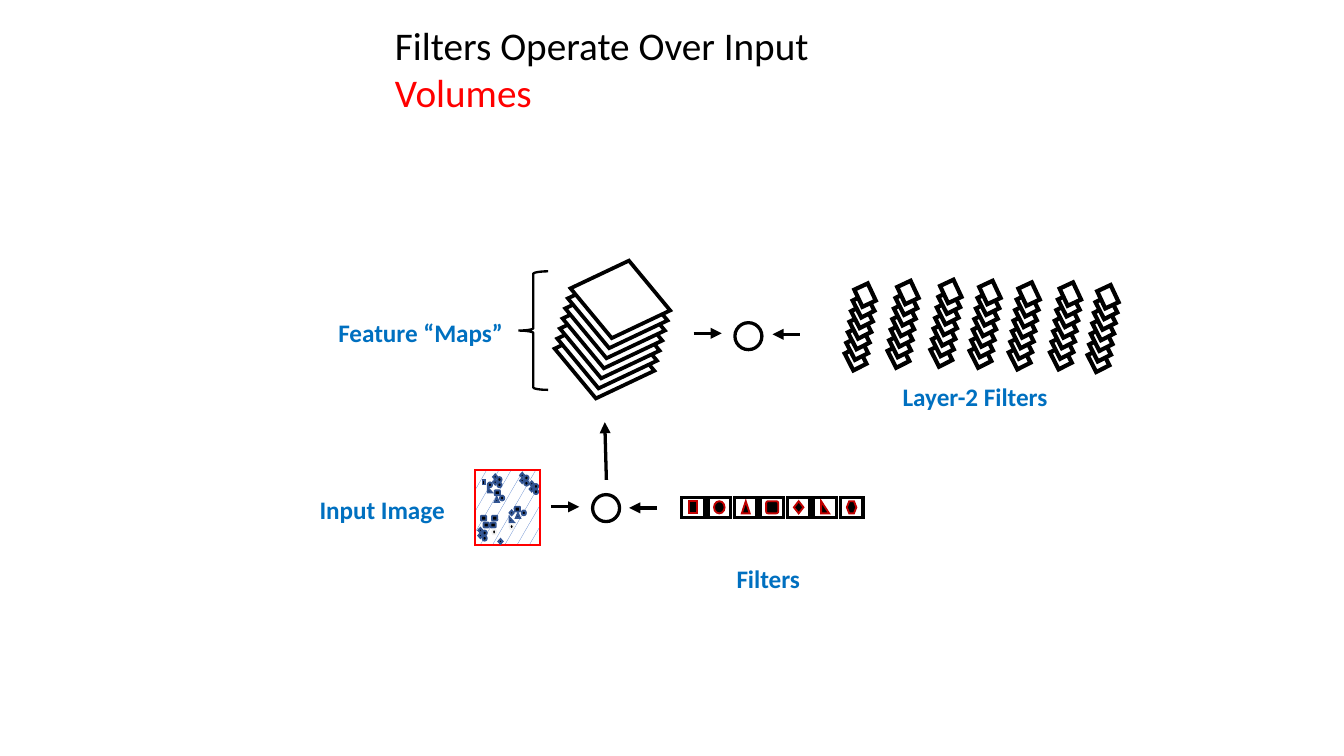
from dataclasses import dataclass

from lxml.etree import SubElement
from pptx import Presentation
from pptx.dml.color import RGBColor
from pptx.enum.dml import MSO_PATTERN
from pptx.enum.shapes import MSO_CONNECTOR, MSO_SHAPE as Kind
from pptx.enum.text import MSO_ANCHOR, MSO_AUTO_SIZE, PP_ALIGN
from pptx.oxml.ns import qn
from pptx.util import Cm, Pt


@dataclass(frozen=True)
class Theme:
    font: str = "Calibri"
    title: float = 21
    label: float = 13.5
    black: str = "000000"
    white: str = "FFFFFF"
    red: str = "FF0000"
    dark_red: str = "C00000"
    blue: str = "0070C0"
    navy: str = "325491"
    dots: str = "4472C4"
    pale: str = "F2F2F2"


theme = Theme()


def write(para, text, size=theme.label, color=theme.blue, bold=False):
    """Add one formatted run to a paragraph."""
    run = para.add_run()
    run.text = text
    run.font.name = theme.font
    run.font.size = Pt(size)
    run.font.bold = bold
    run.font.color.rgb = RGBColor.from_string(color)


def draw(home, kind, box, fill=None, line=theme.black, width=1, turn=0):
    """Add a preset shape; box is left, top, width, height in cm."""
    shape = home.shapes.add_shape(kind, *[Cm(v) for v in box])
    shape.shadow.inherit = False
    shape.rotation = turn
    if fill:
        shape.fill.solid()
        shape.fill.fore_color.rgb = RGBColor.from_string(fill)
    else:
        shape.fill.background()
    shape.line.color.rgb = RGBColor.from_string(line)
    shape.line.width = Pt(width)
    SubElement(shape.element.spPr.find(qn("a:ln")), qn("a:miter"), lim="800000")
    return shape


deck = Presentation()
deck.slide_width, deck.slide_height = Cm(25.4), Cm(14.29)
slide = deck.slides.add_slide(deck.slide_layouts[5])

# Title
title = slide.shapes.title
title.left, title.top, title.width, title.height = Cm(7.21), Cm(0.28), Cm(10.97), Cm(2.06)
frame = title.text_frame
frame.word_wrap = True
frame.auto_size = MSO_AUTO_SIZE.NONE
frame.vertical_anchor = MSO_ANCHOR.TOP
para = frame.paragraphs[0]
para.alignment = PP_ALIGN.LEFT
write(para, "Filters Operate Over Input ", size=theme.title, color=theme.black)
write(para, "Volumes", size=theme.title, color=theme.red)

# Input image: a dotted field with clusters of small marks
image = slide.shapes.add_group_shape()
field = draw(image, Kind.RECTANGLE, (8.97, 8.89, 1.24, 1.42), line=theme.red)
field.fill.patterned()
field.fill.pattern = MSO_PATTERN.SMALL_CONFETTI
field.fill.fore_color.rgb = RGBColor.from_string(theme.dots)
field.fill.back_color.rgb = RGBColor.from_string(theme.white)

marks = [
    (Kind.RECTANGLE, 9.12, 9.07), (Kind.OVAL, 9.22, 9.12),
    (Kind.RIGHT_TRIANGLE, 9.22, 9.22), (Kind.ROUNDED_RECTANGLE, 9.35, 9.27),
    (Kind.ISOSCELES_TRIANGLE, 9.35, 9.4), (Kind.OVAL, 9.45, 9.37),
    (Kind.ROUNDED_RECTANGLE, 9.73, 9.58), (Kind.ISOSCELES_TRIANGLE, 9.75, 9.7),
    (Kind.OVAL, 9.86, 9.65), (Kind.DIAMOND, 9.63, 9.65),
    (Kind.RIGHT_TRIANGLE, 9.63, 9.78), (Kind.HEXAGON, 9.63, 9.91),
    (Kind.ROUNDED_RECTANGLE, 9.09, 9.75), (Kind.ROUNDED_RECTANGLE, 9.14, 9.88),
    (Kind.ROUNDED_RECTANGLE, 9.27, 9.88), (Kind.ROUNDED_RECTANGLE, 9.3, 9.75),
    (Kind.HEXAGON, 9.3, 10.01), (Kind.DIAMOND, 9.42, 10.19),
]
for x, y in [(9.32, 8.97), (9.83, 8.94), (10.01, 9.1), (9.04, 9.98)]:
    for step in (0, 0.1):
        marks.append((Kind.DIAMOND, x, y + step))
        marks.append((Kind.OVAL, x + 0.08, y + 0.05 + step))
widths = {Kind.RECTANGLE: 0.05, Kind.ROUNDED_RECTANGLE: 0.1}
for kind, x, y in marks:
    edge = theme.pale if kind == Kind.HEXAGON else theme.navy
    draw(image, kind, (x, y, widths.get(kind, 0.08), 0.09), theme.black, edge)

# Stack of feature maps, the lowest one open
maps = slide.shapes.add_group_shape()
for i in range(7):
    draw(maps, Kind.DIAMOND, (10.46 + 0.05 * i, 6.05 - 0.19 * i, 1.93, 1.5),
         theme.white if i else None, width=2, turn=12.5)
draw(slide, Kind.LEFT_BRACE, (9.8, 5.13, 0.56, 2.24), width=1.25)

# Row of first-layer filters, each icon centred in its cell
row = slide.shapes.add_group_shape()
icons = [
    (Kind.RECTANGLE, 0.15), (Kind.OVAL, 0.2), (Kind.ISOSCELES_TRIANGLE, 0.15),
    (Kind.ROUNDED_RECTANGLE, 0.23), (Kind.DIAMOND, 0.18),
    (Kind.RIGHT_TRIANGLE, 0.15), (Kind.HEXAGON, 0.18),
]
cell, tall, high = 0.43, 0.38, 0.23
for i, (kind, wide) in enumerate(icons):
    x, y = 12.88 + 0.5 * i, 9.4
    draw(row, kind, (x + (cell - wide) / 2, y + (tall - high) / 2, wide, high),
         theme.black, theme.dark_red)
    draw(row, Kind.RECTANGLE, (x, y, cell, tall), width=1.75)

# Stacks of second-layer filters
for x, y in [(16.03, 6.6), (16.84, 6.55), (17.65, 6.53), (18.39, 6.55),
             (19.13, 6.58), (19.91, 6.58), (20.62, 6.63)]:
    stack = slide.shapes.add_group_shape()
    for i in range(7):
        draw(stack, Kind.RECTANGLE, (x + 0.03 * i, y - 0.2 * i, 0.28, 0.36),
             theme.white, width=2.25, turn=335 if i == 6 else 333)

# Operators and the arrows around them
for x, y in [(11.2, 9.35), (13.89, 6.1)]:
    draw(slide, Kind.OVAL, (x, y, 0.51, 0.51), width=1.75)
for ends in [(10.41, 9.58, 10.95, 9.58), (12.42, 9.6, 11.89, 9.6),
             (11.46, 9.07, 11.43, 7.98), (13.11, 6.3, 13.64, 6.3),
             (15.11, 6.32, 14.6, 6.32)]:
    arrow = slide.shapes.add_connector(MSO_CONNECTOR.STRAIGHT, *[Cm(v) for v in ends])
    arrow.line.color.rgb = RGBColor.from_string(theme.black)
    arrow.line.width = Pt(1.75)
    props = arrow.element.spPr
    SubElement(props.find(qn("a:ln")), qn("a:tailEnd"), type="triangle")
    SubElement(props, qn("a:effectLst"))

# Labels
for text, x, y, wide, align in [
    ("Input Image", 5.79, 9.22, 2.9, PP_ALIGN.LEFT),
    ("Filters", 13.67, 10.52, 1.73, PP_ALIGN.LEFT),
    ("Feature “Maps”", 6.12, 5.87, 3.66, PP_ALIGN.CENTER),
    ("Layer-2 Filters", 16.81, 7.09, 3.28, PP_ALIGN.LEFT),
]:
    frame = slide.shapes.add_textbox(Cm(x), Cm(y), Cm(wide), Cm(0.84)).text_frame
    frame.word_wrap = False
    frame.auto_size = MSO_AUTO_SIZE.SHAPE_TO_FIT_TEXT
    frame.paragraphs[0].alignment = align
    write(frame.paragraphs[0], text, bold=True)

deck.save("out.pptx")
